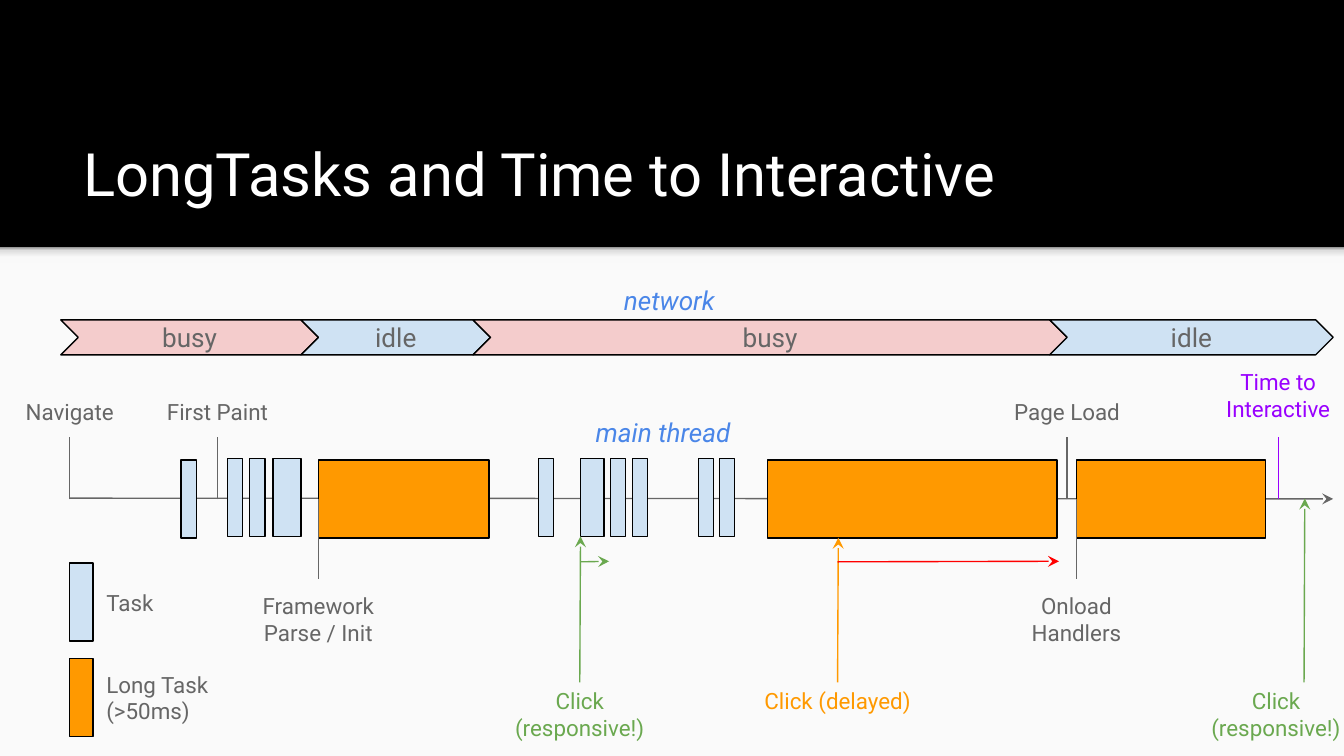
from dataclasses import dataclass

from lxml import etree
from copy import deepcopy
from pptx import Presentation
from pptx.dml import color
from pptx.enum import shapes, text
from pptx.oxml import ns
from pptx.util import Pt


@dataclass(frozen=True)
class Theme:
    font: str = "Roboto"
    black: str = "000000"
    white: str = "FFFFFF"
    panel: str = "FAFAFA"
    grey: str = "666666"
    task: str = "CFE2F3"
    long_task: str = "FF9900"
    busy: str = "F4CCCC"
    lane: str = "4A86E8"
    interactive: str = "9900FF"
    responsive: str = "6AA84F"
    delay: str = "FF0000"
    shade: tuple = ((0, "F9F9F9"), (0.36, "F9F9F9"), (0.8, "DEDEDE"), (1, "999999"))
    title_size: int = 32
    lane_size: int = 14
    label_size: int = 12
    stroke: float = 0.75
    inset: float = 7.2


THEME = Theme()
SHAPE = shapes.MSO_SHAPE
CENTER = text.PP_ALIGN.CENTER
MIDDLE = text.MSO_ANCHOR.MIDDLE


def rgb(value):
    return color.RGBColor.from_string(value)


def set_all(target, values):
    for name, value in values.items():
        setattr(target, name, value)


def write(frame, words, size, ink, align=CENTER, anchor=text.MSO_ANCHOR.TOP, italic=None):
    inset = Pt(THEME.inset)
    set_all(frame, {"word_wrap": True, "auto_size": text.MSO_AUTO_SIZE.NONE,
                    "vertical_anchor": anchor, "margin_left": inset, "margin_right": inset,
                    "margin_top": inset, "margin_bottom": inset})
    frame.text = words
    for para in frame.paragraphs:
        para.alignment = align
        for span in para.runs:
            set_all(span.font, {"name": THEME.font, "size": Pt(size), "italic": italic})
            span.font.color.rgb = rgb(ink)


def add_label(page, box, words, ink=THEME.grey, size=THEME.label_size, **style):
    label = page.shapes.add_textbox(*map(Pt, box))
    write(label.text_frame, words, size, ink, **style)


def add_block(page, box, fill, kind=SHAPE.RECTANGLE, outlined=True):
    block = page.shapes.add_shape(kind, *map(Pt, box))
    block.shadow.inherit = False
    block.fill.solid()
    block.fill.fore_color.rgb = rgb(fill)
    if outlined:
        block.line.color.rgb = rgb(THEME.black)
        block.line.width = Pt(THEME.stroke)
    else:
        block.line.fill.background()
    return block


def add_line(page, start, end, ink=THEME.grey, arrow=False):
    line = page.shapes.add_connector(shapes.MSO_CONNECTOR.STRAIGHT, *map(Pt, start + end))
    line.line.color.rgb = rgb(ink)
    line.line.width = Pt(THEME.stroke)
    if arrow:
        etree.SubElement(line.line._get_or_add_ln(), ns.qn("a:tailEnd"), type="stealth")
    etree.SubElement(line._element.spPr, ns.qn("a:effectLst"))
    return line


def draw_backdrop(page, box):
    left, top, width, height = box
    page.background.fill.solid()
    page.background.fill.fore_color.rgb = rgb(THEME.black)
    add_block(page, box, THEME.panel, outlined=False)
    edge = add_block(page, (left, top, width, 8.6), THEME.panel, outlined=False)
    edge.fill.gradient()
    edge.fill.gradient_angle = 90
    stops = edge._element.spPr.find(".//" + ns.qn("a:gsLst"))
    for _ in range(len(THEME.shade) - len(stops)):
        stops.append(deepcopy(stops[0]))
    for stop, (position, ink) in zip(edge.fill.gradient_stops, THEME.shade):
        stop.position = position
        stop.color.rgb = rgb(ink)


def draw_title(page, box, words):
    title = page.shapes.title
    set_all(title, dict(zip(("left", "top", "width", "height"), map(Pt, box))))
    write(title.text_frame, words, THEME.title_size, THEME.white,
          align=text.PP_ALIGN.LEFT, anchor=text.MSO_ANCHOR.BOTTOM)


def draw_network(page, box):
    left, top, width, height = box
    lane_top, lane_height = top + 26, 18.7
    overlap = lane_height / 2
    start = left
    for words, end in (("busy", 138), ("idle", 230.2), ("busy", 539.1), ("idle", width)):
        fill = THEME.busy if words == "busy" else THEME.task
        phase = add_block(page, (start, lane_top, left + end - start, lane_height),
                          fill, SHAPE.CHEVRON)
        write(phase.text_frame, words, THEME.lane_size, THEME.grey, anchor=MIDDLE)
        start = left + end - overlap
    add_label(page, (left, top, 652, 26), "network", THEME.lane, THEME.lane_size, italic=True)


def draw_main_thread(page, box):
    left, top, width, height = box
    axis = top + 76.8
    add_line(page, (left, axis), (left + width, axis + 0.4), arrow=True)

    for x, words, lift in ((0, "Navigate", 0), (79.2, "First Paint", 0),
                           (534.3, "Page Load", 0), (647.4, "Time to\nInteractive", 15.8)):
        ink = THEME.interactive if lift else THEME.grey
        add_line(page, (left + x, axis + 0.6), (left + x, top + 44), ink)
        add_label(page, (left + x - 36, top + 15.8 - lift, 72, 28.8 + lift), words, ink)

    for x, size, words in ((133.2, 91.4, "Framework Parse / Init"), (373.8, 155.1, None),
                           (539.3, 101.2, "Onload\nHandlers")):
        long_task = add_block(page, (left + x, top + 56.3, size, 41.8), THEME.long_task)
        if words:
            stem = add_line(page, (left + x, top + 120), (left + x, axis))
            stem.end_connect(long_task, 1)
            add_label(page, (left + x - 43, top + 120.2, 86, 42), words)

    add_block(page, (left + 59.6, top + 56.3, 8.2, 41.8), THEME.task)
    for x, size in ((84.5, 8.2), (96.3, 8.2), (108.9, 14.9), (251.1, 8.2), (273.6, 12.6),
                    (289.6, 8.2), (301.4, 8.2), (336.8, 8.2), (348, 8.2)):
        add_block(page, (left + x, top + 55.4, size, 41.8), THEME.task)

    clicks = ((273.2, 273.2, 97.2, "Click (responsive!)", THEME.responsive),
              (411.3, 411.3, 98, "Click (delayed)", THEME.long_task),
              (661.2, 646.2, 77, "Click (responsive!)", THEME.responsive))
    for x, middle, tip, words, ink in clicks:
        add_line(page, (left + x, top + 175.5), (left + x + 0.4, top + tip), ink, arrow=True)
        add_label(page, (left + middle - 48.6, top + 171, 97.2, 42), words, ink)
    for x, reach, ink in ((273.6, 15.3, THEME.responsive), (411.3, 118.6, THEME.delay)):
        add_line(page, (left + x, top + 110.9), (left + x + reach, top + 110.6), ink, arrow=True)


def draw_legend(page, box):
    left, top, width, height = box
    swatch, row = 12.5, 41.8
    entries = (("Task", THEME.task), ("Long Task (>50ms)", THEME.long_task))
    for index, (words, fill) in enumerate(entries):
        y = top + index * (height - row)
        add_block(page, (left, y, swatch, row), fill)
        add_label(page, (left + swatch, y, width - swatch, row), words,
                  align=text.PP_ALIGN.LEFT, anchor=MIDDLE)


def main():
    deck = Presentation()
    deck.slide_width, deck.slide_height = Pt(720), Pt(405)
    page = deck.slides.add_slide(deck.slide_layouts[5])
    draw_backdrop(page, (0, 132.5, 720, 272.5))
    draw_title(page, (37.4, 58.3, 647.3, 60.5), "LongTasks and Time to Interactive")
    draw_main_thread(page, (37.4, 190.1, 676.8, 214.9))
    draw_network(page, (32.6, 145.4, 681.6, 45))
    add_label(page, (306.7, 216, 97.2, 33.8), "main thread", THEME.lane,
              THEME.lane_size, italic=True)
    draw_legend(page, (37.4, 301.7, 84.5, 92.9))
    deck.save("out.pptx")


if __name__ == "__main__":
    main()
